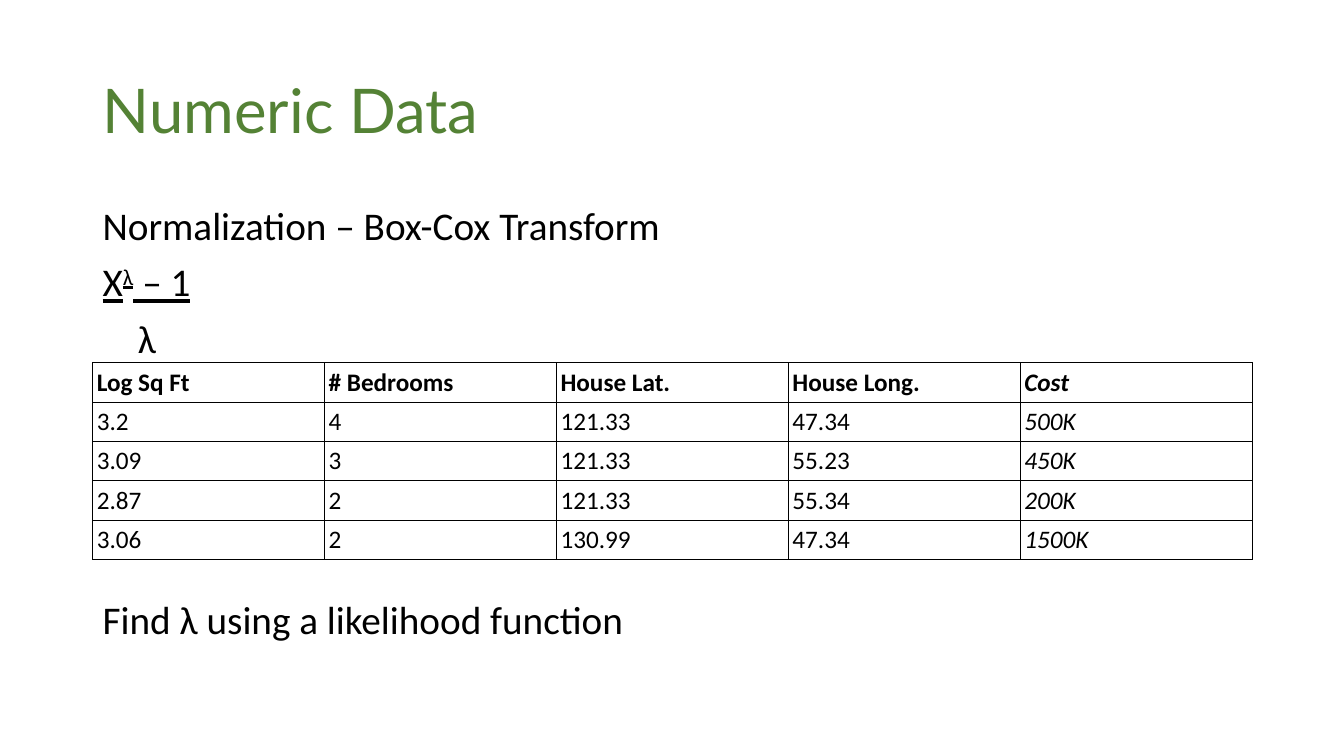
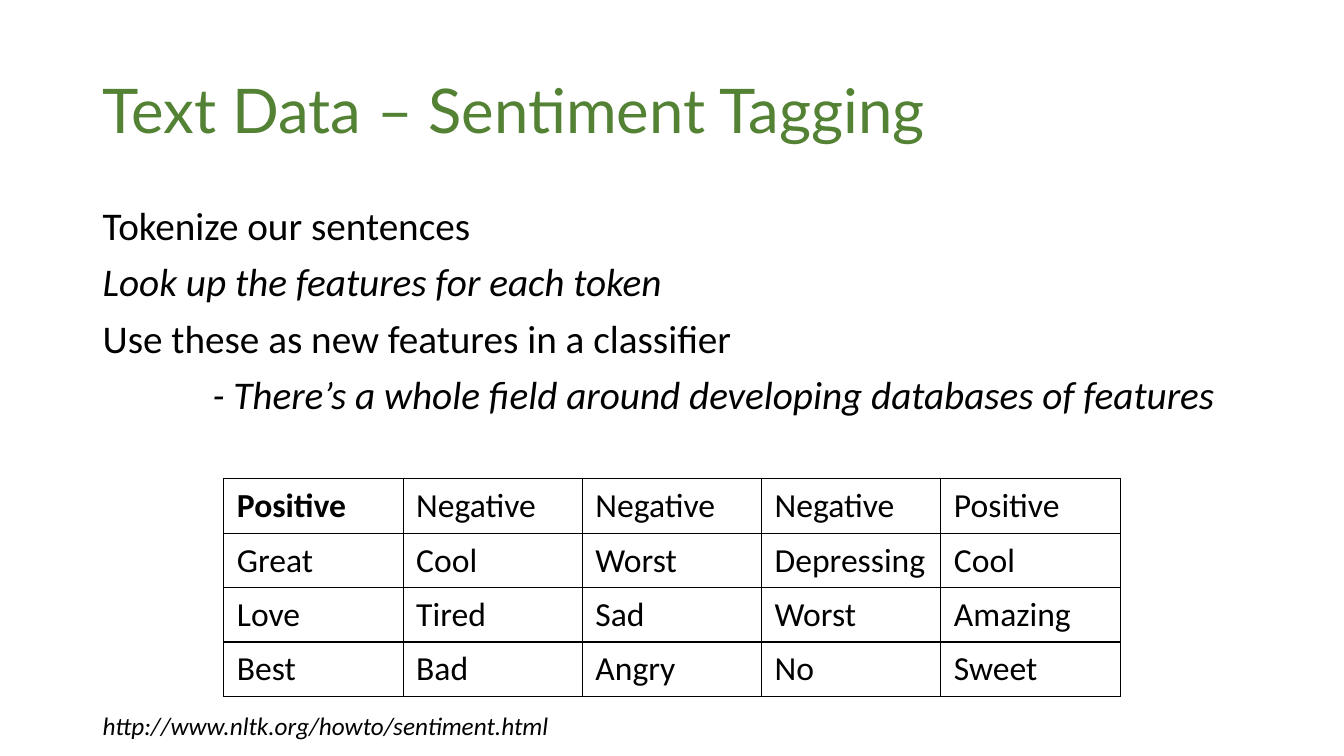
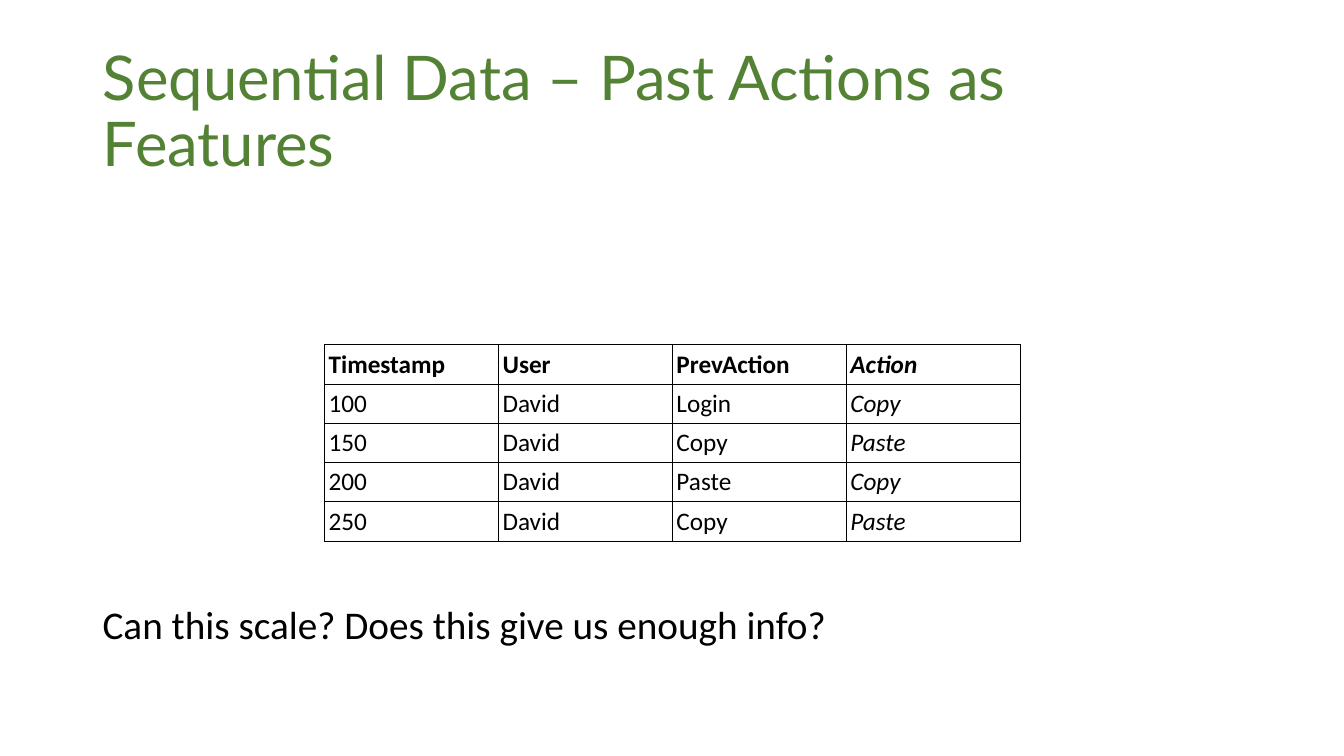
import lxml.etree
import pptx
import pptx.dml.color
import pptx.enum.text
import pptx.oxml.ns
import pptx.util

Inches = pptx.util.Inches
Pt = pptx.util.Pt
ANCHOR = pptx.enum.text.MSO_ANCHOR

COLORS = {"title": "548235", "text": "000000", "border": "000000", "cell": "FFFFFF"}
TITLE_FONT = {"name": "Lato", "size": Pt(44)}
BODY_FONT = {"name": "Calibri", "size": Pt(28)}
NOTE_FONT = {"name": "Calibri", "size": Pt(18), "italic": True}
LEFT, WIDTH = 0.92, 11.5
TITLE_BOX = (LEFT, 0.4, WIDTH, 1.45)

DATA_STYLE = {
    "size": 18, "margins": (0.04, 0.04), "anchor": ANCHOR.MIDDLE,
    "border": 0.75, "bold_columns": 5, "italic_last": True,
}
WORD_STYLE = {
    "size": 24, "margins": (0.13, 0.07), "anchor": ANCHOR.TOP,
    "border": 1, "bold_columns": 1, "italic_last": False,
}

HOUSES = [
    ["Log Sq Ft", "# Bedrooms", "House Lat.", "House Long.", "Cost"],
    ["3.2", "4", "121.33", "47.34", "500K"],
    ["3.09", "3", "121.33", "55.23", "450K"],
    ["2.87", "2", "121.33", "55.34", "200K"],
    ["3.06", "2", "130.99", "47.34", "1500K"],
]
SENTIMENTS = [
    ["Positive", "Negative", "Negative", "Negative", "Positive"],
    ["Great", "Cool", "Worst", "Depressing", "Cool"],
    ["Love", "Tired", "Sad", "Worst", "Amazing"],
    ["Best", "Bad", "Angry", "No", "Sweet"],
]
ACTIONS = [
    ["Timestamp", "User", "PrevAction", "Action"],
    ["100", "David", "Login", "Copy"],
    ["150", "David", "Copy", "Paste"],
    ["200", "David", "Paste", "Copy"],
    ["250", "David", "Copy", "Paste"],
]


def format_font(font, color, formats):
    """Apply a dict of format values and a named colour to a font."""
    for attribute, value in formats.items():
        setattr(font, attribute, value)
    font.color.rgb = pptx.dml.color.RGBColor.from_string(COLORS[color])


def add_titled_slide(deck, heading):
    """Add a title-only slide with the shared title style."""
    slide = deck.slides.add_slide(deck.slide_layouts[5])
    title = slide.shapes.title
    title.left, title.top, title.width, title.height = map(Inches, TITLE_BOX)
    frame = title.text_frame
    frame.text = heading
    frame.auto_size = pptx.enum.text.MSO_AUTO_SIZE.NONE
    frame.vertical_anchor = ANCHOR.MIDDLE
    paragraph = frame.paragraphs[0]
    paragraph.alignment = pptx.enum.text.PP_ALIGN.LEFT
    paragraph.line_spacing = 0.9
    format_font(paragraph.runs[0].font, "title", TITLE_FONT)
    return slide


def add_body(slide, box, lines, base_font=BODY_FONT):
    """Add lines given as (indent, [(text, formats, baseline)])."""
    frame = slide.shapes.add_textbox(*map(Inches, box)).text_frame
    frame.word_wrap = True
    for index, (indent, pieces) in enumerate(lines):
        paragraph = frame.add_paragraph() if index else frame.paragraphs[0]
        paragraph.line_spacing = 0.9
        paragraph.space_before = Pt(10 if index else 0)
        paragraph._p.get_or_add_pPr().set("marL", str(Inches(indent)))
        for text, formats, baseline in pieces:
            run = paragraph.add_run()
            run.text = text
            format_font(run.font, "text", {**base_font, **formats})
            if baseline:
                run._r.get_or_add_rPr().set("baseline", str(baseline * 1000))


def plain(text, indent=0, **formats):
    """Describe a body line made of a single run."""
    return indent, [(text, formats, 0)]


def add_borders(cell, points):
    """Draw a solid line on the four sides of a cell."""
    qn = pptx.oxml.ns.qn
    properties = cell._tc.get_or_add_tcPr()
    for side in ("a:lnL", "a:lnR", "a:lnT", "a:lnB"):
        line = lxml.etree.SubElement(properties, qn(side), w=str(Pt(points)))
        fill = lxml.etree.SubElement(line, qn("a:solidFill"))
        lxml.etree.SubElement(fill, qn("a:srgbClr"), val=COLORS["border"])


def add_grid(slide, box, rows, style):
    """Add a bordered table with equal columns and rows filling the box."""
    left, top, width, height = box
    columns = len(rows[0])
    table = slide.shapes.add_table(len(rows), columns, *map(Inches, box)).table
    table.first_row = table.horz_banding = False
    for column in table.columns:
        column.width = Inches(width / columns)
    for row in table.rows:
        row.height = Inches(height / len(rows))
    side, edge = map(Inches, style["margins"])
    layout = {
        "margin_left": side, "margin_right": side,
        "margin_top": edge, "margin_bottom": edge,
        "vertical_anchor": style["anchor"],
    }
    for r, values in enumerate(rows):
        for c, value in enumerate(values):
            cell = table.cell(r, c)
            cell.text = value
            for attribute, setting in layout.items():
                setattr(cell, attribute, setting)
            add_borders(cell, style["border"])
            cell.fill.solid()
            cell.fill.fore_color.rgb = pptx.dml.color.RGBColor.from_string(COLORS["cell"])
            format_font(cell.text_frame.paragraphs[0].runs[0].font, "text", {
                "name": "Calibri",
                "size": Pt(style["size"]),
                "bold": r == 0 and c < style["bold_columns"],
                "italic": style["italic_last"] and c == columns - 1,
            })


def build_numeric(deck):
    """Build the slide on the Box-Cox transform."""
    slide = add_titled_slide(deck, "Numeric Data")
    underlined = {"underline": True}
    numerator = [("X", underlined, 0), ("λ", underlined, 30), (" – 1", underlined, 0)]
    add_body(slide, (LEFT, 2, WIDTH, 1.6), [
        plain("Normalization – Box-Cox Transform"),
        (0, numerator),
        plain("λ", indent=0.35),
    ])
    add_grid(slide, (LEFT, 3.6, WIDTH, 1.95), HOUSES, DATA_STYLE)
    add_body(slide, (LEFT, 5.91, WIDTH, 0.6), [plain("Find λ using a likelihood function")])


def build_sentiment(deck):
    """Build the slide on sentiment tagging."""
    slide = add_titled_slide(deck, "Text Data – Sentiment Tagging")
    add_body(slide, (LEFT, 2, WIDTH, 2.3), [
        plain("Tokenize our sentences"),
        plain("Look up the features for each token", italic=True),
        plain("Use these as new features in a classifier"),
        plain("- There’s a whole field around developing databases of features",
              indent=1.09, italic=True),
    ])
    add_grid(slide, (2.22, 4.75, 8.89, 2.16), SENTIMENTS, WORD_STYLE)
    add_body(slide, (LEFT, 7.03, WIDTH, 0.4),
             [plain("http://www.nltk.org/howto/sentiment.html")], NOTE_FONT)


def build_sequential(deck):
    """Build the slide on past actions as features."""
    slide = add_titled_slide(deck, "Sequential Data – Past Actions as Features")
    add_grid(slide, (3.22, 3.42, 6.9, 1.95), ACTIONS, DATA_STYLE)
    add_body(slide, (LEFT, 5.96, WIDTH, 0.6),
             [plain("Can this scale? Does this give us enough info?")])


def main():
    """Build and save the three slides."""
    deck = pptx.Presentation()
    deck.slide_width, deck.slide_height = Inches(13.33), Inches(7.5)
    for build in (build_numeric, build_sentiment, build_sequential):
        build(deck)
    deck.save("out.pptx")


if __name__ == "__main__":
    main()
